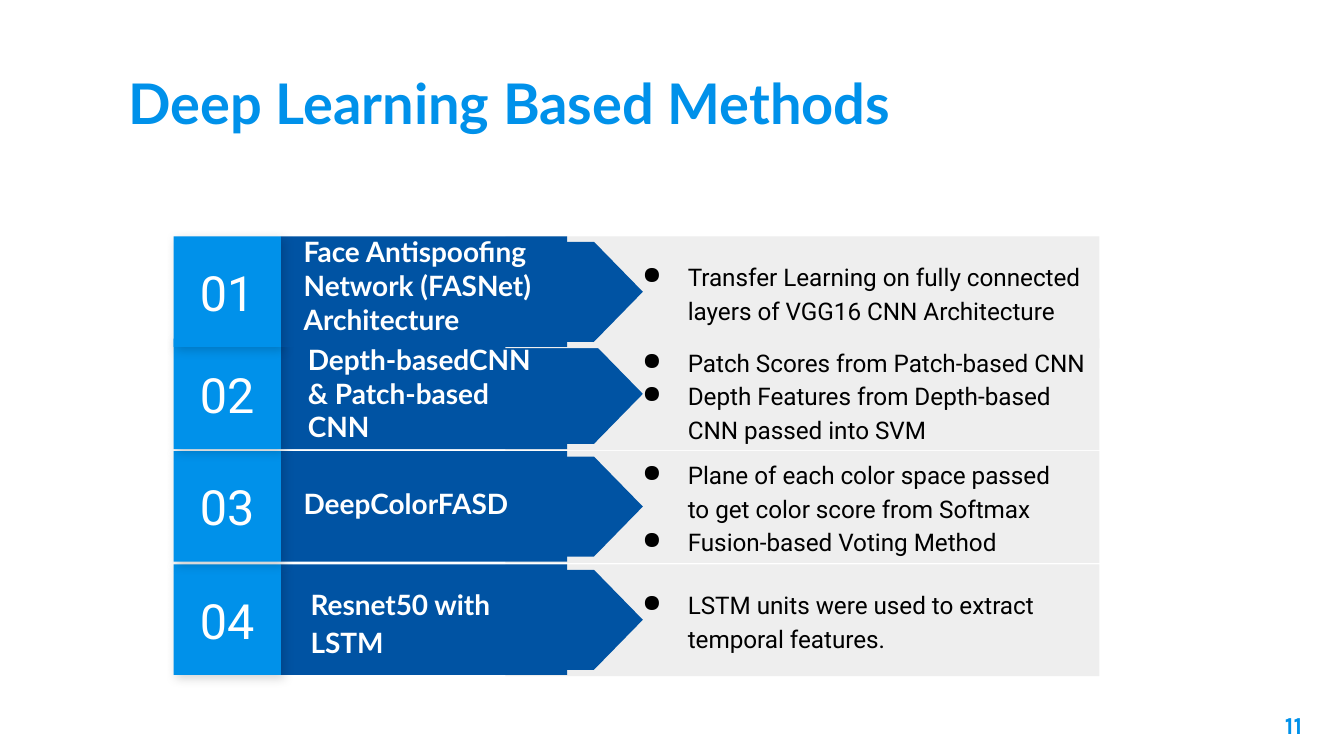
from dataclasses import dataclass

from lxml import etree
from pptx import Presentation
from pptx.dml.color import RGBColor
from pptx.enum.shapes import MSO_SHAPE
from pptx.enum.text import MSO_ANCHOR, PP_ALIGN
from pptx.oxml import parse_xml
from pptx.oxml.ns import nsdecls, qn
from pptx.util import Cm, Pt

RECTANGLE = MSO_SHAPE.RECTANGLE
POINTER = MSO_SHAPE.FLOWCHART_OFFPAGE_CONNECTOR
TOP, MIDDLE, BOTTOM = MSO_ANCHOR.TOP, MSO_ANCHOR.MIDDLE, MSO_ANCHOR.BOTTOM
LEFT, CENTER, RIGHT = PP_ALIGN.LEFT, PP_ALIGN.CENTER, PP_ALIGN.RIGHT


@dataclass(frozen=True)
class TextStyle:
    font: str
    size: int
    color: str
    bold: bool = False


@dataclass(frozen=True)
class Theme:
    bright: str = "0091EA"
    dark: str = "0053A3"
    panel: str = "EEEEEE"
    title: TextStyle = TextStyle("Lato", 30, "0091EA", True)
    page: TextStyle = TextStyle("Karla", 13, "0091EA", True)
    label: TextStyle = TextStyle("Lato", 15, "FFFFFF", True)
    number: TextStyle = TextStyle("Roboto", 26, "FFFFFF")
    detail: TextStyle = TextStyle("Roboto", 13, "000000")


@dataclass(frozen=True)
class Method:
    top: float
    label: str
    label_box: tuple  # left, top, width, height relative to the row
    details: tuple
    detail_width: float
    label_spacing: float = 1.0
    label_before: int = 6


THEME = Theme()
ROW_LEFT, ROW_WIDTH, ROW_HEIGHT = 3.28, 17.5, 2.09

METHODS = (
    Method(4.47, "Face Antispoofing Network (FASNet) Architecture",
           (2.21, 0, 6.81, 1.85),
           ("Transfer Learning on fully connected layers of VGG16 CNN Architecture",),
           9.3),
    Method(6.4, "Depth-basedCNN & Patch-based CNN",
           (2.29, 0.23, 5.16, 1.6),
           ("Patch Scores from Patch-based CNN",
            "Depth Features from Depth-based CNN passed into SVM"),
           9.58),
    Method(8.53, "DeepColorFASD",
           (2.21, 0.25, 5.41, 1.45),
           ("Plane of each color space passed to get color score from Softmax",
            "Fusion-based Voting Method"),
           8.71),
    Method(10.67, "Resnet50 with LSTM",
           (2.34, 0.25, 4.83, 1.63),
           ("LSTM units were used to extract temporal features.",),
           8.71, label_spacing=1.15, label_before=0),
)


def add_block(shapes, kind, box, color):
    shape = shapes.add_shape(kind, *map(Cm, box))
    shape.shadow.inherit = False
    shape.fill.solid()
    shape.fill.fore_color.rgb = RGBColor.from_string(color)
    shape.line.fill.background()
    return shape


def write_text(shape, texts, style, anchor=MIDDLE, align=LEFT,
               spacing=1.0, before=0, bullets=False):
    frame = shape.text_frame
    frame.word_wrap = True
    frame.vertical_anchor = anchor
    frame.margin_left = frame.margin_right = Cm(0.25)
    frame.margin_top = frame.margin_bottom = Cm(0.25)
    for index, text in enumerate(texts):
        paragraph = frame.add_paragraph() if index else frame.paragraphs[0]
        paragraph.alignment = align
        paragraph.line_spacing = spacing
        paragraph.space_before = Pt(before)
        if bullets:
            add_bullet(paragraph, style.color)
        run = paragraph.add_run()
        run.text = text
        run.font.name = style.font
        run.font.size = Pt(style.size)
        run.font.bold = style.bold
        run.font.color.rgb = RGBColor.from_string(style.color)


def add_text(shapes, box, texts, style, **options):
    write_text(shapes.add_textbox(*map(Cm, box)), texts, style, **options)


def add_bullet(paragraph, color):
    properties = paragraph._p.get_or_add_pPr()
    properties.set("marL", str(Cm(1.27)))
    properties.set("indent", str(Cm(-0.86)))
    bullet_color = etree.SubElement(properties, qn("a:buClr"))
    etree.SubElement(bullet_color, qn("a:srgbClr"), val=color)
    etree.SubElement(properties, qn("a:buChar"), char="●")


def add_soft_shadow(shape):
    effects = shape._element.spPr.find(qn("a:effectLst"))
    effects.append(parse_xml(
        f'<a:outerShdw {nsdecls("a")} blurRad="{Pt(5.6)}" dist="{Pt(2.2)}" '
        'dir="2700000" algn="bl" rotWithShape="0"><a:srgbClr val="000000">'
        '<a:alpha val="17000"/></a:srgbClr></a:outerShdw>'))


def add_title(slide, box):
    add_text(slide.shapes, box, ["Deep Learning Based Methods"], THEME.title,
             anchor=BOTTOM)


def add_page_number(slide, box):
    add_text(slide.shapes, box, ["11"], THEME.page, anchor=TOP, align=RIGHT)


def add_method_row(slide, box, number, method):
    left, top, width, height = box
    shapes = slide.shapes.add_group_shape().shapes

    # Panel and dark band
    panel_offset = 6.27
    add_block(shapes, RECTANGLE,
              (left + panel_offset, top, width - panel_offset, height + 0.02),
              THEME.panel)
    add_block(shapes, RECTANGLE, (left + 2.03, top, 5.41, height), THEME.dark)

    # Pointer, turned to the right about its centre
    breadth, length = 1.89, 4.62
    center_x, center_y = left + 6.56, top + height / 2
    pointer = add_block(
        shapes, POINTER,
        (center_x - breadth / 2, center_y - length / 2, breadth, length),
        THEME.dark)
    pointer.rotation = 270

    # Method name
    label_left, label_top, label_width, label_height = method.label_box
    add_text(shapes,
             (left + label_left, top + label_top, label_width, label_height),
             [method.label], THEME.label,
             spacing=method.label_spacing, before=method.label_before)

    # Number badge
    badge = add_block(shapes, RECTANGLE, (left, top, 2.03, height), THEME.bright)
    add_soft_shadow(badge)
    write_text(badge, [f"{number:02}"], THEME.number, align=CENTER)

    # Bulleted details
    add_text(shapes, (left + 8.2, top, method.detail_width, height),
             method.details, THEME.detail, spacing=1.15, bullets=True)


def main():
    presentation = Presentation()
    presentation.slide_width, presentation.slide_height = Cm(25.4), Cm(14.29)
    slide = presentation.slides.add_slide(presentation.slide_layouts[6])

    add_title(slide, (2.18, 0.86, 21.03, 1.96))
    add_page_number(slide, (23.34, 13.18, 1.52, 1.09))

    # Last row first, so that each row overlaps the one below it
    for number, method in reversed(list(enumerate(METHODS, start=1))):
        add_method_row(slide, (ROW_LEFT, method.top, ROW_WIDTH, ROW_HEIGHT),
                       number, method)

    presentation.save("out.pptx")


if __name__ == "__main__":
    main()
